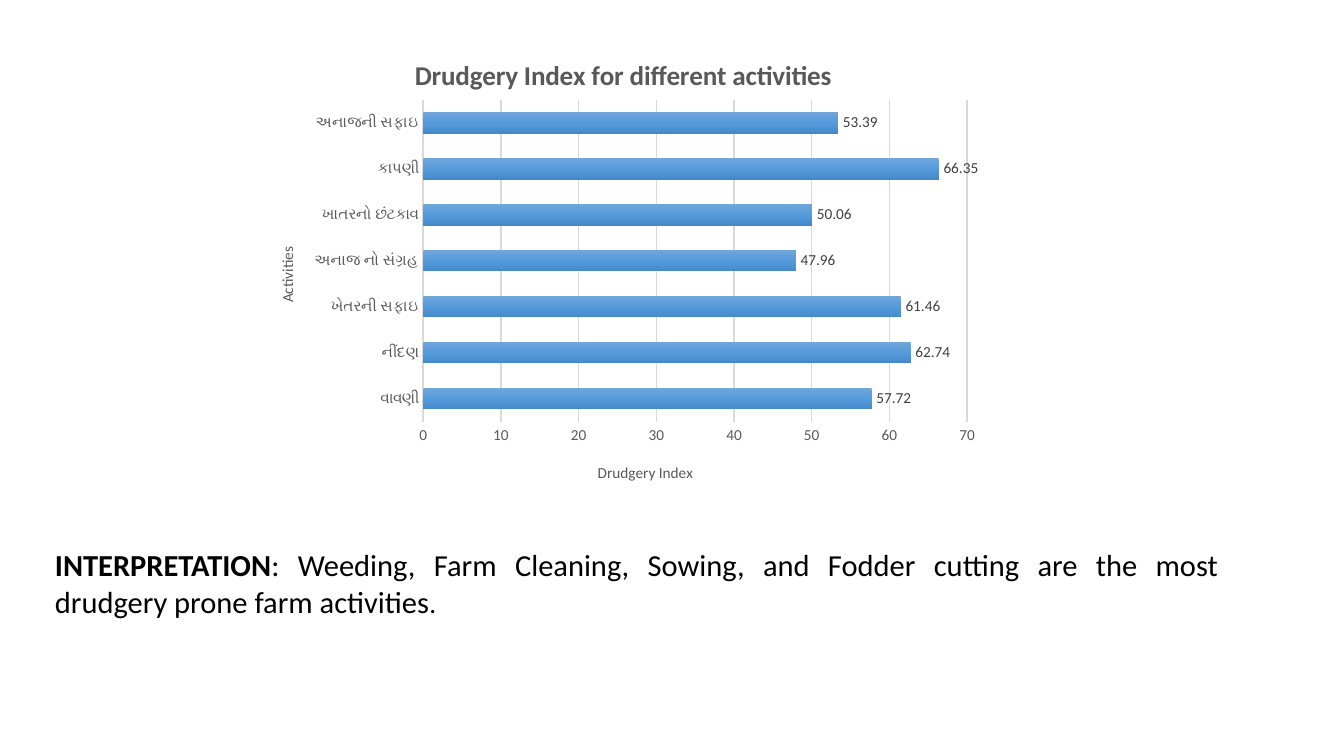
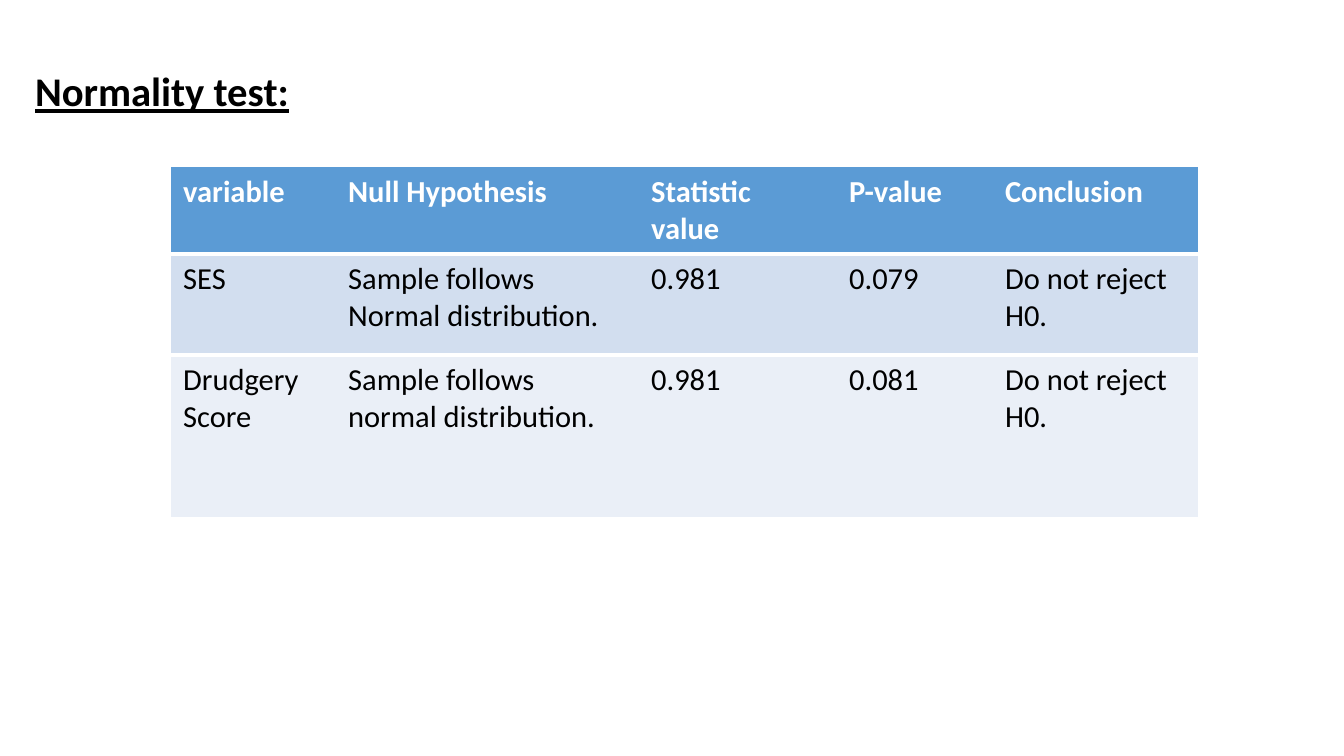
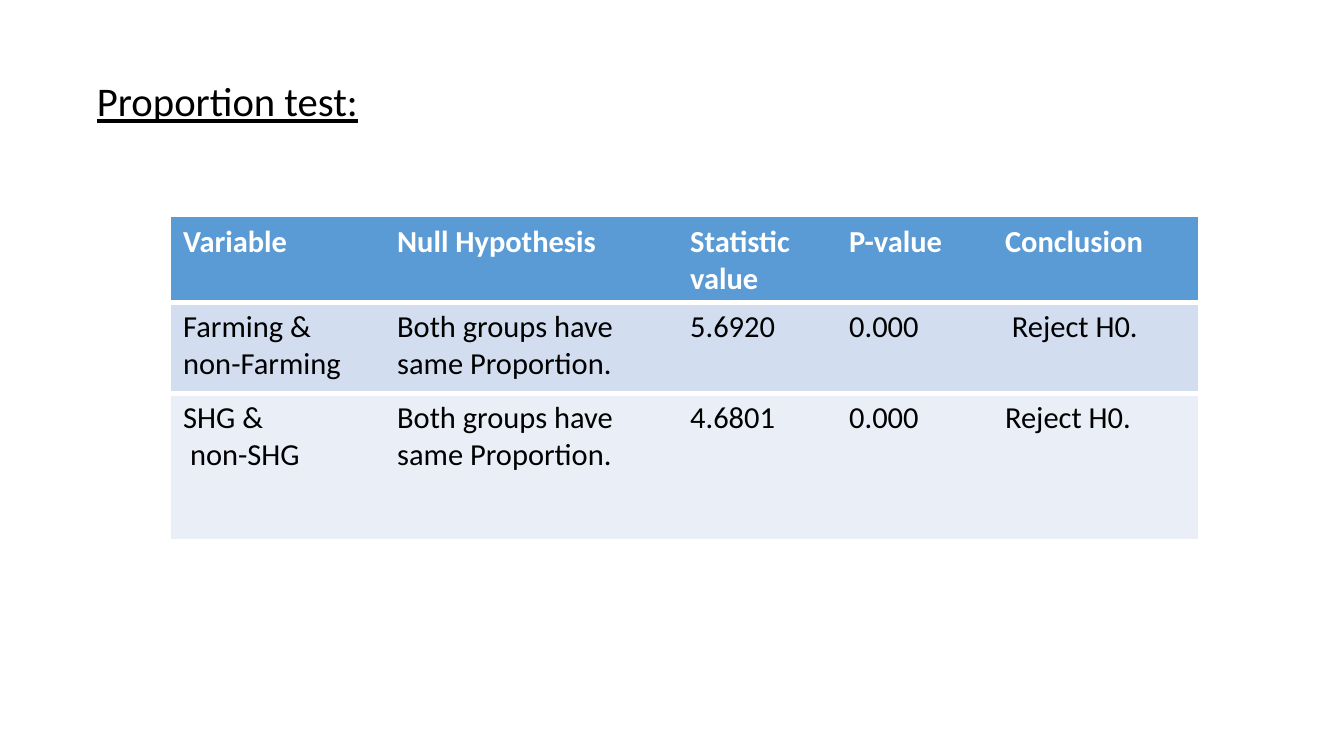
"""Build three slides on farm drudgery: index chart, normality test, proportion test."""
import copy

import pptx
import pptx.chart.data
import pptx.dml.color
import pptx.enum.chart
import pptx.enum.text
import pptx.oxml
import pptx.oxml.ns
import pptx.util

FONT = "Calibri"
BLACK, WHITE, GREY, LABEL, RULE = "000000", "FFFFFF", "595959", "404040", "D9D9D9"
ROW_FILLS = ["5B9BD5", "D2DEEF", "EAEFF7"]
BAR_STOPS = [(0, "71A6DB"), (0.5, "559BDB"), (1, "448ACA")]
PLAIN_TABLE = "{2D5ABB26-0587-4C30-8999-92F81FD0307C}"
SLIDE_SIZE = (1344, 756)

CHART_BOX = (248, 26, 743, 477)
CHART_TITLE = ("Drudgery Index for different activities", (410, 52))
CATEGORY_TITLE = ("Activities", (275, 244))
VALUE_TITLE = ("Drudgery Index", (595, 460))
PLOT_BOX = (423, 100, 544, 322)
ACTIVITIES = [
    ("વાવણી", 57.72),
    ("નીંદણ", 62.74),
    ("ખેતરની સફાઇ", 61.46),
    ("અનાજ નો સંગ્રહ", 47.96),
    ("ખાતરનો છંટકાવ", 50.06),
    ("કાપણી", 66.35),
    ("અનાજની સફાઇ", 53.39),
]
INTERPRETATION = [
    ("INTERPRETATION", 18, True),
    (": Weeding, Farm Cleaning, Sowing, and Fodder cutting are the most "
     "drudgery prone farm activities", 18, False),
    (".", 16, False),
]
TESTS = [
    {
        "title": ("Normality test:", 24, True),
        "title_box": (23, 60, 348, 61),
        "table_at": (171, 167),
        "columns": [165, 303, 198, 156, 205],
        "rows": [87, 101, 162],
        "cells": [
            ["variable", "Null Hypothesis", "Statistic value", "P-value", "Conclusion"],
            ["SES", "Sample follows Normal distribution.", "0.981", "0.079",
             "Do not reject H0."],
            ["Drudgery Score", "Sample follows normal distribution.", "0.981", "0.081",
             "Do not reject H0."],
        ],
    },
    {
        "title": ("Proportion test:", 24, False),
        "title_box": (85, 70, 366, 61),
        "table_at": (171, 217),
        "columns": [214, 293, 159, 156, 205],
        "rows": [85, 91, 146],
        "cells": [
            ["Variable", "Null Hypothesis", "Statistic value", "P-value", "Conclusion"],
            ["Farming & non-Farming", "Both groups have same Proportion.", "5.6920",
             "0.000", " Reject H0."],
            ["SHG &\n non-SHG", "Both groups have same Proportion.", "4.6801",
             "0.000", "Reject H0."],
        ],
    },
]


def px(n):
    return pptx.util.Emu(round(n * 914400 / 122))


def rgb(value):
    return pptx.dml.color.RGBColor.from_string(value)


def style(font, size, color, bold=False):
    font.name, font.size, font.bold = FONT, pptx.util.Pt(size), bold
    font.color.rgb = rgb(color)


def new_slide():
    return prs.slides.add_slide(prs.slide_layouts[6])


def add_text(s, box, runs, underline=False):
    tf = s.shapes.add_textbox(*map(px, box)).text_frame
    tf.word_wrap = True
    p = tf.paragraphs[0]
    for text, size, bold in runs:
        r = p.add_run()
        r.text = text
        style(r.font, size, BLACK, bold)
        r.font.underline = underline
    return p


def place(element, kind, box):
    """Pin a chart part to a box given in slide pixels."""
    left, top, width, height = CHART_BOX
    parts = [("x", (box[0] - left) / width), ("y", (box[1] - top) / height)]
    if len(box) == 4:
        parts += [("w", box[2] / width), ("h", box[3] / height)]
    target = '<c:layoutTarget val="inner"/>' if kind == "plot" else ""
    modes = '<c:xMode val="edge"/><c:yMode val="edge"/>'
    sizes = "".join(f'<c:{name} val="{value:.3f}"/>' for name, value in parts)
    for old in element.xpath("c:layout"):
        element.remove(old)
    layout = pptx.oxml.parse_xml(
        f'<c:layout {pptx.oxml.ns.nsdecls("c")}><c:manualLayout>'
        f"{target}{modes}{sizes}</c:manualLayout></c:layout>")
    element.insert(len(element.xpath("c:tx")), layout)


def set_title(title, content, size, bold):
    text, at = content
    title.text_frame.text = text
    style(title.text_frame.paragraphs[0].runs[0].font, size, GREY, bold)
    place(title._element, "title", at)


def add_index_chart(s):
    data = pptx.chart.data.CategoryChartData()
    data.categories = [name for name, _ in ACTIVITIES]
    data.add_series("Series 1", [value for _, value in ACTIVITIES])
    chart = s.shapes.add_chart(
        pptx.enum.chart.XL_CHART_TYPE.BAR_CLUSTERED, *map(px, CHART_BOX), data).chart
    style(chart.font, 10, BLACK)
    chart.has_legend = False
    set_title(chart.chart_title, CHART_TITLE, 16, True)

    for axis, title in ((chart.category_axis, CATEGORY_TITLE),
                        (chart.value_axis, VALUE_TITLE)):
        set_title(axis.axis_title, title, 9, False)
        style(axis.tick_labels.font, 9, GREY)
        axis.major_tick_mark = pptx.enum.chart.XL_TICK_MARK.NONE
    chart.category_axis.format.line.color.rgb = rgb(RULE)
    chart.category_axis.format.line.width = pptx.util.Pt(1)
    values = chart.value_axis
    values.minimum_scale, values.maximum_scale, values.major_unit = 0, 70, 10
    values.format.line.fill.background()
    values.major_gridlines.format.line.color.rgb = rgb(RULE)
    values.major_gridlines.format.line.width = pptx.util.Pt(0.75)

    plot = chart.plots[0]
    plot.gap_width, plot.overlap, plot.vary_by_categories = 115, -20, False
    series = plot.series[0]
    series.invert_if_negative = False
    fill = series.format.fill
    fill.gradient()
    fill.gradient_angle = 270
    stops = series._element.xpath(".//a:gsLst")[0]
    stops.insert(1, copy.deepcopy(stops[0]))
    for stop, (position, color) in zip(fill.gradient_stops, BAR_STOPS):
        stop.position = position
        stop.color.rgb = rgb(color)
    labels = series.data_labels
    labels.show_value = True
    labels.position = pptx.enum.chart.XL_LABEL_POSITION.OUTSIDE_END
    style(labels.font, 9, LABEL)
    place(chart._chartSpace.xpath(".//c:plotArea")[0], "plot", PLOT_BOX)


def add_border(cell, side, points):
    line = pptx.oxml.parse_xml(
        f'<a:{side} {pptx.oxml.ns.nsdecls("a")} w="{pptx.util.Pt(points)}">'
        f'<a:solidFill><a:srgbClr val="{WHITE}"/></a:solidFill></a:{side}>')
    cell._tc.get_or_add_tcPr().insert(0, line)


def add_test_table(s, test):
    columns, rows, cells = test["columns"], test["rows"], test["cells"]
    box = (*test["table_at"], sum(columns), sum(rows))
    table = s.shapes.add_table(len(rows), len(columns), *map(px, box)).table
    table.first_row = table.horz_banding = False
    table._tbl.xpath(".//a:tableStyleId")[0].text = PLAIN_TABLE
    for column, width in zip(table.columns, columns):
        column.width = px(width)
    for i, (row, height) in enumerate(zip(table.rows, rows)):
        row.height = px(height)
        header = i == 0
        for cell, text in zip(row.cells, cells[i]):
            cell.text = text
            cell.fill.solid()
            cell.fill.fore_color.rgb = rgb(ROW_FILLS[i])
            for p in cell.text_frame.paragraphs:
                for r in p.runs:
                    style(r.font, 18, WHITE if header else BLACK, header)
            if header:
                add_border(cell, "lnB", 3)
            elif i == 1:
                add_border(cell, "lnT", 3)


prs = pptx.Presentation()
prs.slide_width, prs.slide_height = map(px, SLIDE_SIZE)

s = new_slide()
add_index_chart(s)
p = add_text(s, (43, 540, 1188, 87), INTERPRETATION)
p.alignment = pptx.enum.text.PP_ALIGN.JUSTIFY

for test in TESTS:
    s = new_slide()
    add_test_table(s, test)
    add_text(s, test["title_box"], [test["title"]], underline=True)

prs.save("out.pptx")
